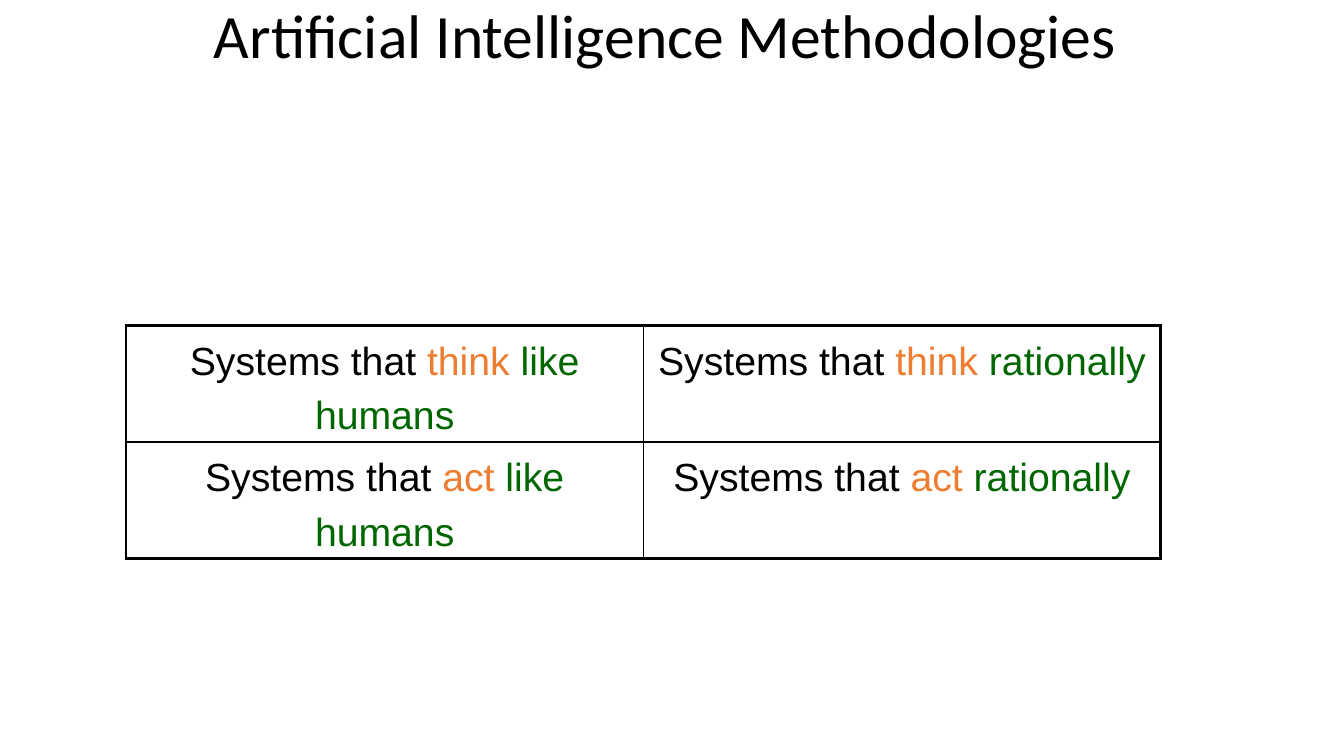
from lxml.etree import SubElement
from pptx import Presentation
from pptx.dml.color import RGBColor
from pptx.enum.text import MSO_ANCHOR, PP_ALIGN
from pptx.oxml.ns import qn
from pptx.util import Inches, Pt

BLACK = RGBColor(0x00, 0x00, 0x00)
ORANGE = RGBColor(0xED, 0x7D, 0x31)
GREEN = RGBColor(0x00, 0x66, 0x00)

VERBS = ["think ", "act "]
MANNERS = ["like humans", "rationally"]


class SlideBuilder:
    title_font, title_size = "Calibri", Pt(44)
    table_font, table_size = "Arial", Pt(28)
    outer_line, inner_line = Pt(2.25), Pt(1)

    def __init__(self, slide):
        self.slide = slide

    def format_run(self, run, font, size, color):
        run.font.name = font
        run.font.size = size
        run.font.color.rgb = color

    def add_title(self, text, left, top, width, height):
        title = self.slide.shapes.title
        title.left, title.top = Inches(left), Inches(top)
        title.width, title.height = Inches(width), Inches(height)
        frame = title.text_frame
        frame.text = text
        frame.word_wrap = True
        frame.vertical_anchor = MSO_ANCHOR.MIDDLE
        paragraph = frame.paragraphs[0]
        paragraph.alignment = PP_ALIGN.CENTER
        paragraph.line_spacing = 0.9
        self.format_run(paragraph.runs[0], self.title_font, self.title_size, BLACK)

    def set_borders(self, cell, widths):
        """Draw black cell borders; widths maps L, R, T, B (in that order) to lengths."""
        properties = cell._tc.get_or_add_tcPr()
        for side, width in widths.items():
            line = SubElement(properties, qn(f"a:ln{side}"), w=str(int(width)))
            fill = SubElement(line, qn("a:solidFill"))
            SubElement(fill, qn("a:srgbClr"), val=str(BLACK))

    def fill_cell(self, cell, parts):
        cell.fill.background()
        cell.margin_left = cell.margin_right = Inches(0.09)
        cell.margin_top = cell.margin_bottom = Inches(0.04)
        paragraph = cell.text_frame.paragraphs[0]
        paragraph.alignment = PP_ALIGN.CENTER
        paragraph.line_spacing = 1.24
        paragraph.space_before = Pt(9)
        for text, color in parts:
            run = paragraph.add_run()
            run.text = text
            self.format_run(run, self.table_font, self.table_size, color)

    def add_methodology_table(self, left, top, width, height, row_height):
        table = self.slide.shapes.add_table(
            len(VERBS), len(MANNERS),
            Inches(left), Inches(top), Inches(width), Inches(height),
        ).table
        table.first_row = table.horz_banding = False
        last_row, last_column = len(VERBS) - 1, len(MANNERS) - 1
        for row, verb in enumerate(VERBS):
            table.rows[row].height = Inches(row_height)
            for column, manner in enumerate(MANNERS):
                cell = table.cell(row, column)
                on_edge = {
                    "L": column == 0,
                    "R": column == last_column,
                    "T": row == 0,
                    "B": row == last_row,
                }
                self.set_borders(cell, {
                    side: self.outer_line if outer else self.inner_line
                    for side, outer in on_edge.items()
                })
                self.fill_cell(cell, [
                    ("Systems that ", BLACK), (verb, ORANGE), (manner, GREEN),
                ])


def main():
    presentation = Presentation()
    presentation.slide_width = Inches(13.33)
    presentation.slide_height = Inches(7.5)
    title_only = presentation.slide_layouts[5]
    builder = SlideBuilder(presentation.slides.add_slide(title_only))
    builder.add_title("Artificial Intelligence Methodologies ", 0.92, 0, 11.5, 0.77)
    builder.add_methodology_table(1.25, 3.23, 10.26, 2.38, row_height=0.78)
    presentation.save("out.pptx")


if __name__ == "__main__":
    main()
